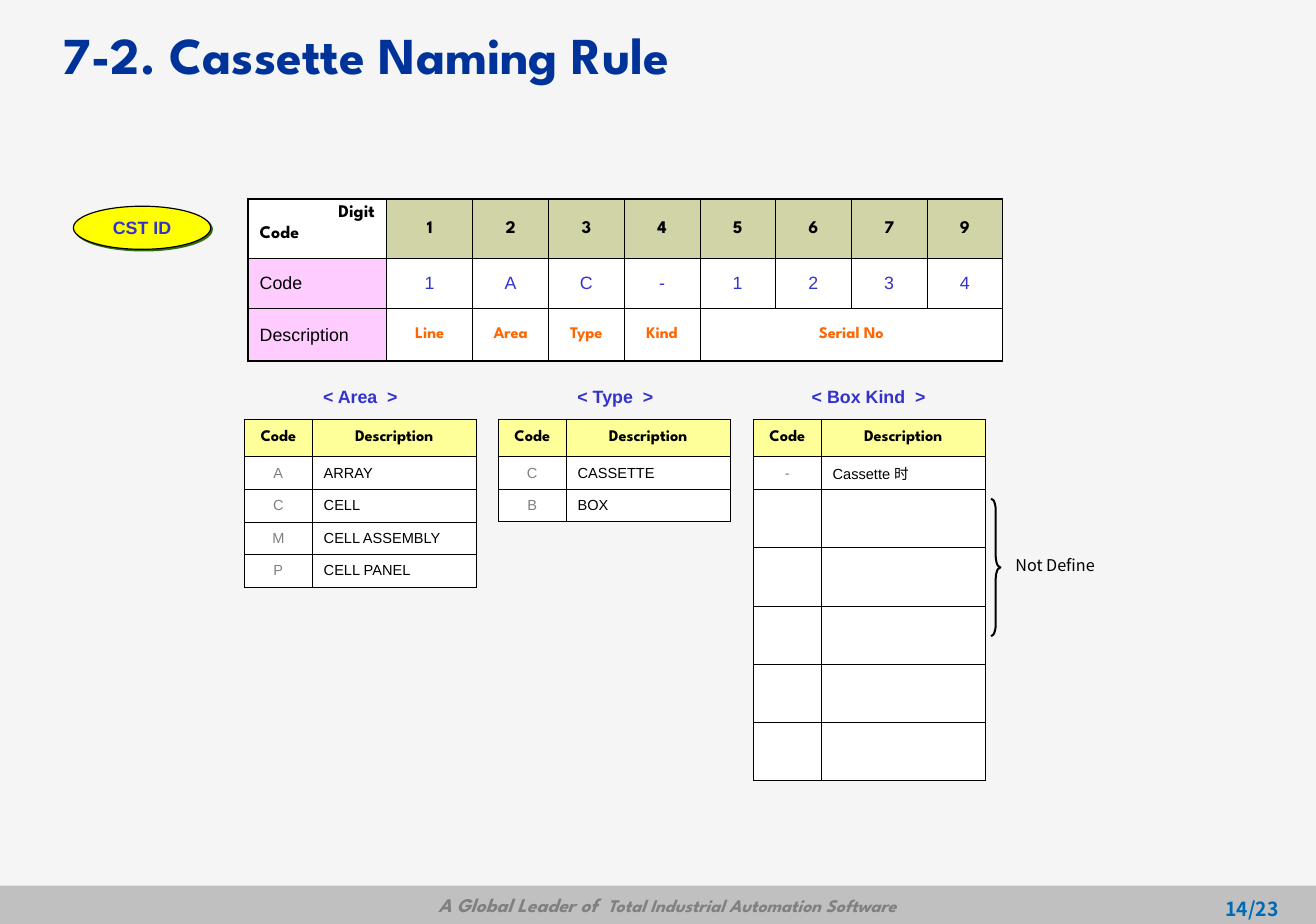
"""Build the cassette naming rule slide."""
from lxml.etree import SubElement
from pptx import Presentation
from pptx.dml.color import RGBColor
from pptx.enum.shapes import MSO_SHAPE as SHAPE
from pptx.enum.text import MSO_ANCHOR as ANCHOR, MSO_AUTO_SIZE as AUTO, PP_ALIGN as ALIGN
from pptx.oxml.ns import qn
from pptx.util import Inches, Pt

SPARTAN, ARIAL, NOTO = "League Spartan", "Arial", "Noto Sans CJK KR"
TITLE = (32, SPARTAN, "003399", True)
LABEL = (11, ARIAL, "3333CC", True)
DIGIT = (11, SPARTAN, "000000", True)
SIDE = (11, ARIAL, "000000", False)
VALUE = (11, ARIAL, "3333CC", False)
FIELD = (10, SPARTAN, "FF6600", True)
HEAD = (10, SPARTAN, "000000", True)
CODE = (9, ARIAL, "808080", False)
ITEM = (9, ARIAL, "000000", False)
NOTE = (10, NOTO, "000000", False)
PAGE = (12, NOTO, "0069B5", True)
WHITE, GREEN, PINK, YELLOW = "FFFFFF", "D0D4A6", "FFCCFF", "FFFF99"
THIN = 0.45
LISTS = [
    (2.1, "< Area  >", 2.67, 0.85,
     [("A", "ARRAY"), ("C", "CELL"), ("M", "CELL ASSEMBLY"), ("P", "CELL PANEL")], 0),
    (4.28, "< Type  >", 4.85, 0.87, [("C", "CASSETTE"), ("B", "BOX")], 0),
    (6.47, "< Box Kind  >", 6.87, 1.18, [("-", "Cassette 时")], 5),
]


def color(text):
    """Turn a hex string into a colour."""
    return RGBColor.from_string(text)


def paint(part, shade):
    """Give a shape, cell or background a solid fill."""
    part.fill.solid()
    part.fill.fore_color.rgb = color(shade)


def add_run(para, text, style, italic=None):
    """Add one styled run to a paragraph."""
    size, face, shade, bold = style
    run = para.add_run()
    run.text = text
    font = run.font
    font.size, font.name, font.bold, font.italic = Pt(size), face, bold, italic
    font.color.rgb = color(shade)


def add_text(slide, box, text, style, align=ALIGN.CENTER, wrap=False):
    """Add a text box with one line."""
    frame = slide.shapes.add_textbox(*map(Inches, box)).text_frame
    frame.word_wrap = wrap
    para = frame.paragraphs[0]
    para.alignment = align
    add_run(para, text, style)


def add_title(slide):
    """Place and format the title."""
    title = slide.shapes.title
    title.left, title.top = Inches(0.44), Inches(0.02)
    title.width, title.height = Inches(8.83), Inches(0.88)
    frame = title.text_frame
    frame.auto_size, frame.vertical_anchor = AUTO.NONE, ANCHOR.MIDDLE
    frame.paragraphs[0].alignment = ALIGN.LEFT
    add_run(frame.paragraphs[0], "7-2. Cassette Naming Rule", TITLE)


def add_foot(slide):
    """Add the grey bar, the slogan and the page number."""
    bar = slide.shapes.add_shape(
        SHAPE.RECTANGLE, Inches(0), Inches(7.6), Inches(11.3), Inches(0.39))
    paint(bar, "C0C0C0")
    bar.line.fill.background()
    bar.shadow.inherit = False
    box = slide.shapes.add_textbox(Inches(3.13), Inches(7.67), Inches(4.67), Inches(0.24))
    box.text_frame.word_wrap = True
    para = box.text_frame.paragraphs[0]
    para.alignment, para.line_spacing, para.space_before = ALIGN.RIGHT, 0.7, Pt(2.8)
    slogan = (("A Global Leader of  ", 12), ("Total Industrial Automation Software", 11))
    for text, size in slogan:
        add_run(para, text, (size, SPARTAN, "808080", True), True)
    add_text(slide, (9.11, 7.65, 1.97, 0.55), "14/23", PAGE, ALIGN.RIGHT, True)


def add_badge(slide):
    """Add the yellow ellipse with its hard shadow."""
    badge = slide.shapes.add_shape(
        SHAPE.OVAL, Inches(0.63), Inches(1.77), Inches(1.18), Inches(0.37))
    paint(badge, "FFFF00")
    badge.line.color.rgb, badge.line.width = color("000000"), Pt(0.75)
    badge.shadow.inherit = False
    effects = badge._element.spPr.find(qn("a:effectLst"))
    shade = SubElement(effects, qn("a:outerShdw"), dist=str(Pt(1.4)), dir="2700000")
    SubElement(shade, qn("a:srgbClr"), val="366B1B")
    frame = badge.text_frame
    frame.word_wrap, frame.vertical_anchor = False, ANCHOR.MIDDLE
    frame.paragraphs[0].alignment = ALIGN.CENTER
    add_run(frame.paragraphs[0], "CST ID", LABEL)


def add_brace(slide):
    """Add the brace beside the undefined rows."""
    brace = slide.shapes.add_shape(
        SHAPE.RIGHT_BRACE, Inches(8.51), Inches(4.28), Inches(0.08), Inches(1.18))
    brace.adjustments[0] = 1.25
    brace.fill.background()
    brace.line.color.rgb, brace.line.width = color("000000"), Pt(1.25)
    brace.shadow.inherit = False


def add_grid(slide, left, top, cols, rows):
    """Add a plain table with the given column widths and row heights."""
    frame = slide.shapes.add_table(
        len(rows), len(cols), Inches(left), Inches(top), Inches(sum(cols)), Inches(sum(rows)))
    grid = frame.table
    grid.first_row = grid.horz_banding = False
    for col, width in zip(grid.columns, cols):
        col.width = Inches(width)
    for row, height in zip(grid.rows, rows):
        row.height = Inches(height)
    return grid


def rule(grid, outer):
    """Draw thin inner lines and a heavier frame."""
    rows, cols = len(grid.rows), len(grid.columns)
    for r in range(rows):
        for c in range(cols):
            props = grid.cell(r, c)._tc.get_or_add_tcPr()
            last = c + grid.cell(r, c).span_width if grid.cell(r, c).is_merge_origin else c + 1
            edges = (("L", c == 0), ("R", last == cols), ("T", r == 0), ("B", r == rows - 1))
            for spot, (side, edge) in enumerate(edges):
                width = Pt(outer if edge else THIN)
                line = SubElement(props, qn("a:ln" + side), w=str(width))
                fill = SubElement(line, qn("a:solidFill"))
                SubElement(fill, qn("a:srgbClr"), val="000000")
                props.insert(spot, line)


def fill_cell(cell, text, style, shade, align=ALIGN.CENTER):
    """Fill a cell and write its text."""
    paint(cell, shade)
    cell.vertical_anchor = ANCHOR.MIDDLE
    para = cell.text_frame.paragraphs[0]
    para.alignment, para.space_before = align, Pt(style[0] / 4)
    if text:
        add_run(para, text, style)


def add_rule(slide):
    """Add the table that explains each digit of the name."""
    grid = add_grid(slide, 2.13, 1.71, [1.19, 0.74] + [0.65] * 7, [0.51, 0.43, 0.45])
    grid.cell(2, 5).merge(grid.cell(2, 8))
    corner = grid.cell(0, 0)
    fill_cell(corner, "Digit", DIGIT, WHITE, ALIGN.RIGHT)
    corner.vertical_anchor = ANCHOR.TOP
    para = corner.text_frame.add_paragraph()
    para.alignment, para.space_before = ALIGN.LEFT, Pt(2.8)
    add_run(para, "Code", DIGIT)
    for r, text in enumerate(("Code", "Description"), 1):
        fill_cell(grid.cell(r, 0), text, SIDE, PINK, ALIGN.LEFT)
    lines = (
        ("12345679", DIGIT, GREEN),
        ("1AC-1234", VALUE, WHITE),
        (("Line", "Area", "Type", "Kind", "Serial No"), FIELD, WHITE),
    )
    for r, (texts, style, shade) in enumerate(lines):
        for c, text in enumerate(texts, 1):
            fill_cell(grid.cell(r, c), text, style, shade)
    rule(grid, 1.08)


def add_list(slide, left, label, start, width, items, blank):
    """Add a labelled code list, with blank rows at its end."""
    add_text(slide, (start, 3.26, width, 0.28), label, LABEL)
    grid = add_grid(slide, left, 3.6, [0.58, 1.41], [0.32] + [0.28] * len(items) + [0.5] * blank)
    for c, text in enumerate(("Code", "Description")):
        fill_cell(grid.cell(0, c), text, HEAD, YELLOW)
    for r, (code, text) in enumerate(items + [("", "")] * blank, 1):
        fill_cell(grid.cell(r, 0), code, CODE, WHITE)
        fill_cell(grid.cell(r, 1), text, ITEM, WHITE, ALIGN.LEFT)
    rule(grid, 0.75)


def main():
    """Build and save the slide."""
    deck = Presentation()
    deck.slide_width, deck.slide_height = Inches(11.3), Inches(7.93)
    slide = deck.slides.add_slide(deck.slide_layouts[5])
    paint(slide.background, "F5F5F5")
    add_foot(slide)
    add_title(slide)
    add_badge(slide)
    add_rule(slide)
    for entry in LISTS:
        add_list(slide, *entry)
    add_brace(slide)
    add_text(slide, (8.61, 4.72, 0.9, 0.27), "Not Define", NOTE)
    deck.save("out.pptx")


if __name__ == "__main__":
    main()
